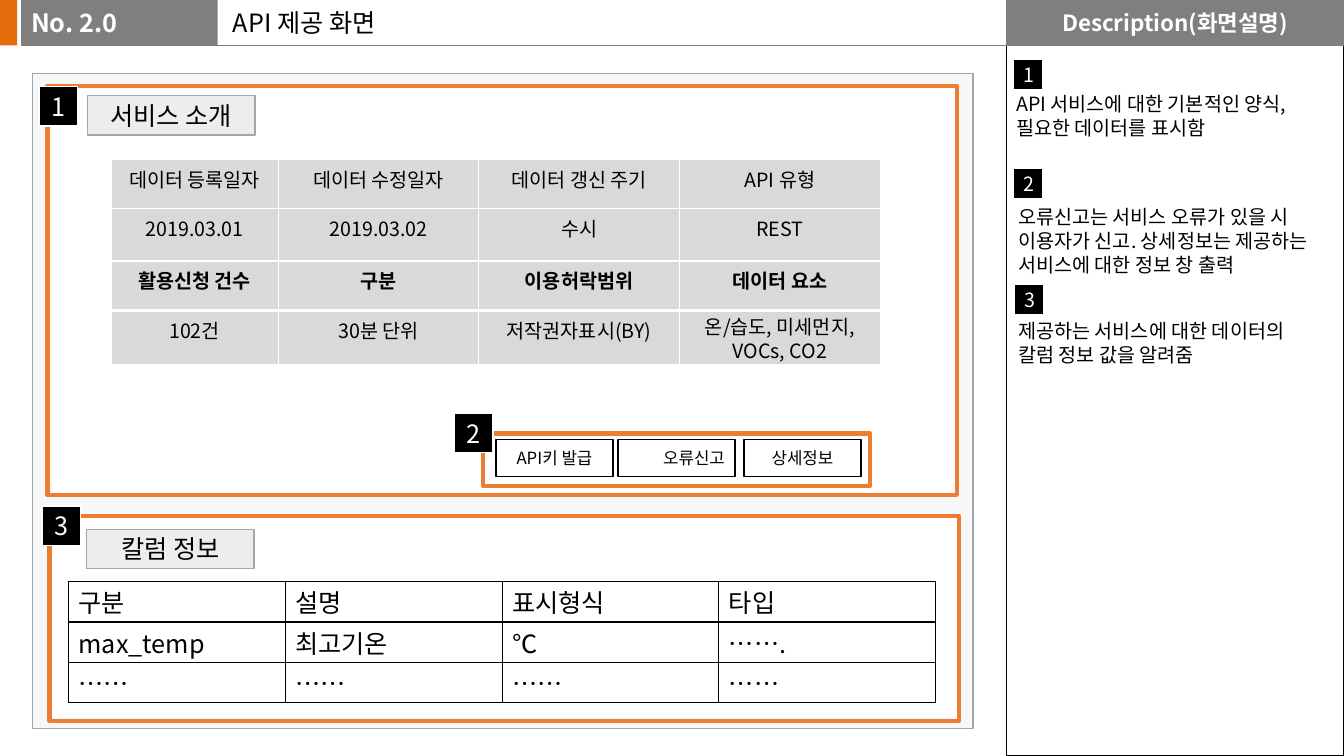
from lxml import etree
from pptx import Presentation
from pptx.dml.color import RGBColor
from pptx.enum import shapes, text
from pptx.oxml import ns
from pptx.util import Inches, Pt

FONT = "Noto Sans CJK KR"
BLACK = RGBColor(0x00, 0x00, 0x00)
WHITE = RGBColor(0xFF, 0xFF, 0xFF)
HEADER_GRAY = RGBColor(0x7F, 0x7F, 0x7F)
EDGE_GRAY = RGBColor(0xA6, 0xA6, 0xA6)
CELL_GRAY = RGBColor(0xD9, 0xD9, 0xD9)
PALE_GRAY = RGBColor(0xED, 0xED, 0xED)
ORANGE = RGBColor(0xED, 0x7D, 0x31)
ACCENT = RGBColor(0xE5, 0x6C, 0x0A)
LEFT, CENTER, RIGHT = text.PP_ALIGN.LEFT, text.PP_ALIGN.CENTER, text.PP_ALIGN.RIGHT

prs = Presentation()
prs.slide_width, prs.slide_height = Inches(13.33), Inches(7.5)
slide = prs.slides.add_slide(prs.slide_layouts[6])


def write(frame, lines, size, color=BLACK, align=LEFT, bold=False, spacing=None):
    for i, line in enumerate(lines):
        paragraph = frame.paragraphs[0] if i == 0 else frame.add_paragraph()
        paragraph.alignment = align
        if spacing:
            paragraph.line_spacing = Pt(spacing)
        run = paragraph.add_run()
        run.text = line
        for name, value in {"name": FONT, "size": Pt(size), "bold": bold}.items():
            setattr(run.font, name, value)
        run.font.color.rgb = color
        etree.SubElement(run.font._element, ns.qn("a:ea"), typeface=FONT)


def box(at, fill=None, line=None, width=1, label=None, **style):
    shape = slide.shapes.add_shape(shapes.MSO_SHAPE.RECTANGLE, *map(Inches, at))
    shape.shadow.inherit = False
    if fill is None:
        shape.fill.background()
    else:
        shape.fill.solid()
        shape.fill.fore_color.rgb = fill
    if line is None:
        shape.line.fill.background()
    else:
        shape.line.color.rgb = line
        shape.line.width = Pt(width)
    if label:
        shape.text_frame.vertical_anchor = text.MSO_ANCHOR.MIDDLE
        write(shape.text_frame, [label], **style)
    return shape


# Page panel and description column
panel = box((0.32, 0.73, 9.33, 6.5), PALE_GRAY, EDGE_GRAY)
panel_color = panel.fill._xPr.find(ns.qn("a:solidFill"))[0]
etree.SubElement(panel_color, ns.qn("a:alpha"), val="40000")
box((9.98, 0, 3.35, 7.5), line=BLACK)

# Header
box((9.98, 0, 3.35, 0.45), HEADER_GRAY, label="Description(화면설명)",
    size=16, color=WHITE, align=CENTER, bold=True)
rule = slide.shapes.add_connector(shapes.MSO_CONNECTOR.STRAIGHT,
                                  Inches(13.33), Inches(0.45), Inches(0.21), Inches(0.45))
rule.line.color.rgb = HEADER_GRAY
rule.line.width = Pt(0.5)
etree.SubElement(rule._element.spPr, ns.qn("a:effectLst"))
box((0.21, 0, 1.95, 0.45), HEADER_GRAY, label="No. 2.0", size=18, color=WHITE, bold=True)
box((0, 0, 0.17, 0.45), ACCENT)

# Title and description texts
for at, wrap, size, spacing, lines in [
    ((2.21, 0.02, 8.85, 0.4), True, 18, 22, ["API 제공 화면"]),
    ((9.98, 0.86, 3.17, 0.57), False, 14, 17,
     ["API 서비스에 대한 기본적인 양식,", "필요한 데이터를 표시함"]),
    ((10, 1.98, 3.4, 0.81), False, 14, 17,
     ["오류신고는 서비스 오류가 있을 시", "이용자가 신고. 상세정보는 제공하는",
      "서비스에 대한 정보 창 출력"]),
    ((10, 3.11, 3.22, 0.57), False, 14, 17,
     ["제공하는 서비스에 대한 데이터의", "칼럼 정보 값을 알려줌"]),
]:
    frame = slide.shapes.add_textbox(*map(Inches, at)).text_frame
    frame.word_wrap = wrap
    frame.auto_size = text.MSO_AUTO_SIZE.SHAPE_TO_FIT_TEXT
    write(frame, lines, size, spacing=spacing)

# Section areas with their titles
for area, outline, heading_at, heading in [
    ((0.52, 0.85, 8.98, 4.06), (0.47, 0.85, 9.02, 4.06), (0.87, 0.95), "서비스 소개"),
    ((0.52, 5.12, 8.98, 2), (0.49, 5.12, 9.02, 2.03), (0.86, 5.25), "칼럼 정보"),
]:
    box(area, WHITE)
    box(outline, line=ORANGE, width=3)
    box((*heading_at, 1.66, 0.39), PALE_GRAY, EDGE_GRAY, label=heading, size=18, align=CENTER)

# Buttons
for left, label, align in [(4.92, "API키 발급", CENTER), (6.13, "오류신고", RIGHT),
                           (7.38, "상세정보", CENTER)]:
    box((left, 4.36, 1.16, 0.37), WHITE, BLACK, label=label, size=12, align=align)
box((4.79, 4.3, 3.84, 0.52), line=ORANGE, width=3)

# Number badges
for left, top, number, width, height, size in [
    (0.39, 0.86, "1", 0.38, 0.39, 18), (4.51, 4.1, "2", 0.38, 0.39, 18),
    (0.42, 5.02, "3", 0.38, 0.39, 18), (10.05, 0.59, "1", 0.29, 0.3, 14),
    (10.05, 1.67, "2", 0.29, 0.3, 14), (10.06, 2.82, "3", 0.29, 0.3, 14),
]:
    box((left, top, width, height), BLACK, WHITE, label=number,
        size=size, color=WHITE, align=CENTER)

# Tables: service facts and column information
service_rows = [
    ["데이터 등록일자", "데이터 수정일자", "데이터 갱신 주기", "API 유형"],
    ["2019.03.01", "2019.03.02", "수시", "REST"],
    ["활용신청 건수", "구분", "이용허락범위", "데이터 요소"],
    ["102건", "30분 단위", "저작권자표시(BY)", "온/습도, 미세먼지, VOCs, CO2"],
]
column_rows = [
    ["구분", "설명", "표시형식", "타입"],
    ["max_temp", "최고기온", "℃", "……."],
    ["……"] * 4,
]
for at, widths, heights, rows, fill, edge, rules, size, align, bold_row, margins in [
    ((1.1, 1.58, 7.63, 2.06), [1.66, 1.99, 1.99, 1.99], [0.49, 0.52, 0.49, 0.54],
     service_rows, CELL_GRAY, WHITE, [1, 1, 1, 2.25, 1], 14, CENTER, 2, (0.05, 0)),
    ((0.68, 5.77, 8.61, 1.2), [2.15] * 4, [0.4] * 3,
     column_rows, None, BLACK, [1] * 4, 18, LEFT, None, (0.02, 0.01)),
]:
    table = slide.shapes.add_table(len(rows), len(widths), *map(Inches, at)).table
    table.first_row = table.horz_banding = False
    for column, width in zip(table.columns, widths):
        column.width = Inches(width)
    for r, values in enumerate(rows):
        table.rows[r].height = Inches(heights[r])
        for c, value in enumerate(values):
            cell = table.cell(r, c)
            cell.margin_top, cell.margin_bottom = map(Inches, margins)
            two_lines = len(value) > 15
            write(cell.text_frame, [value], size, align=align, bold=r == bold_row,
                  spacing=17.5 if two_lines else None)
            properties = cell._tc.get_or_add_tcPr()
            for side, weight in {"L": 1, "R": 1, "T": rules[r], "B": rules[r + 1]}.items():
                border = etree.SubElement(properties, ns.qn(f"a:ln{side}"), w=str(Pt(weight)))
                paint = etree.SubElement(border, ns.qn("a:solidFill"))
                etree.SubElement(paint, ns.qn("a:srgbClr"), val=str(edge))
            if fill is None:
                cell.fill.background()
            else:
                cell.fill.solid()
                cell.fill.fore_color.rgb = fill

prs.save("out.pptx")
